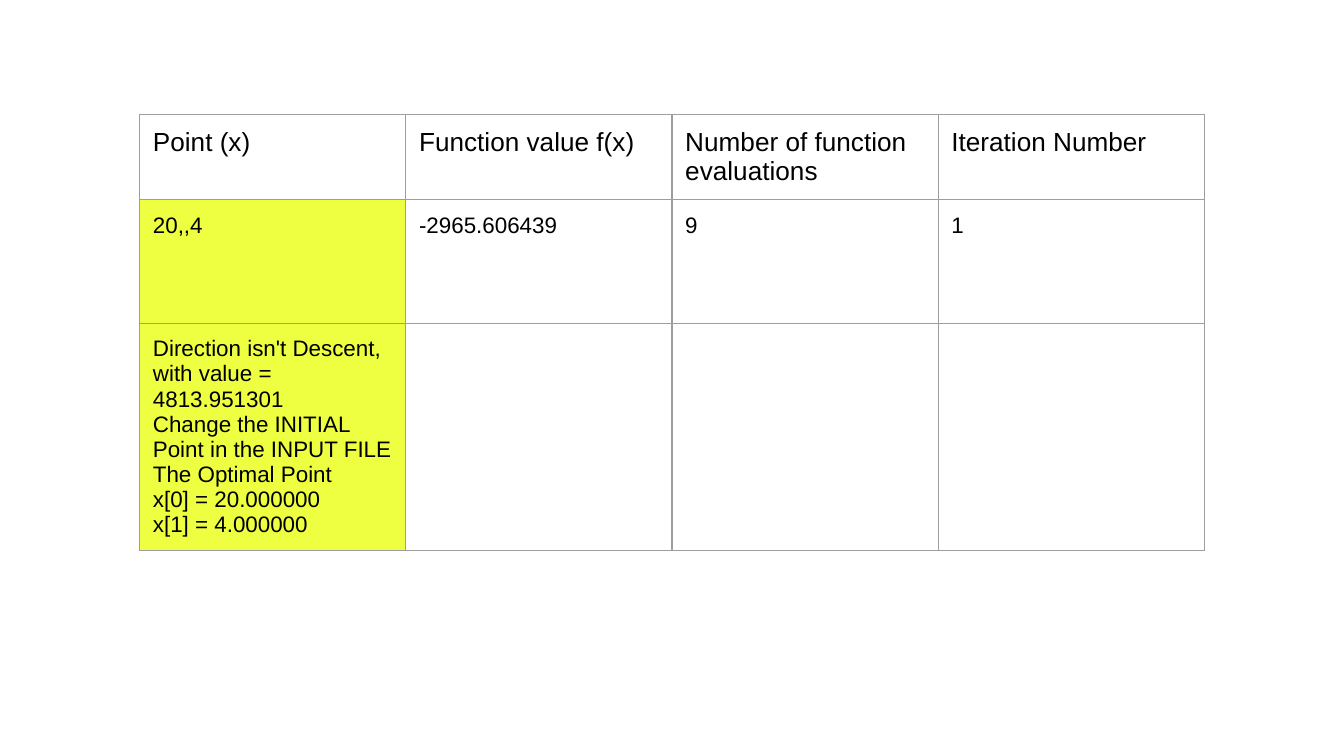
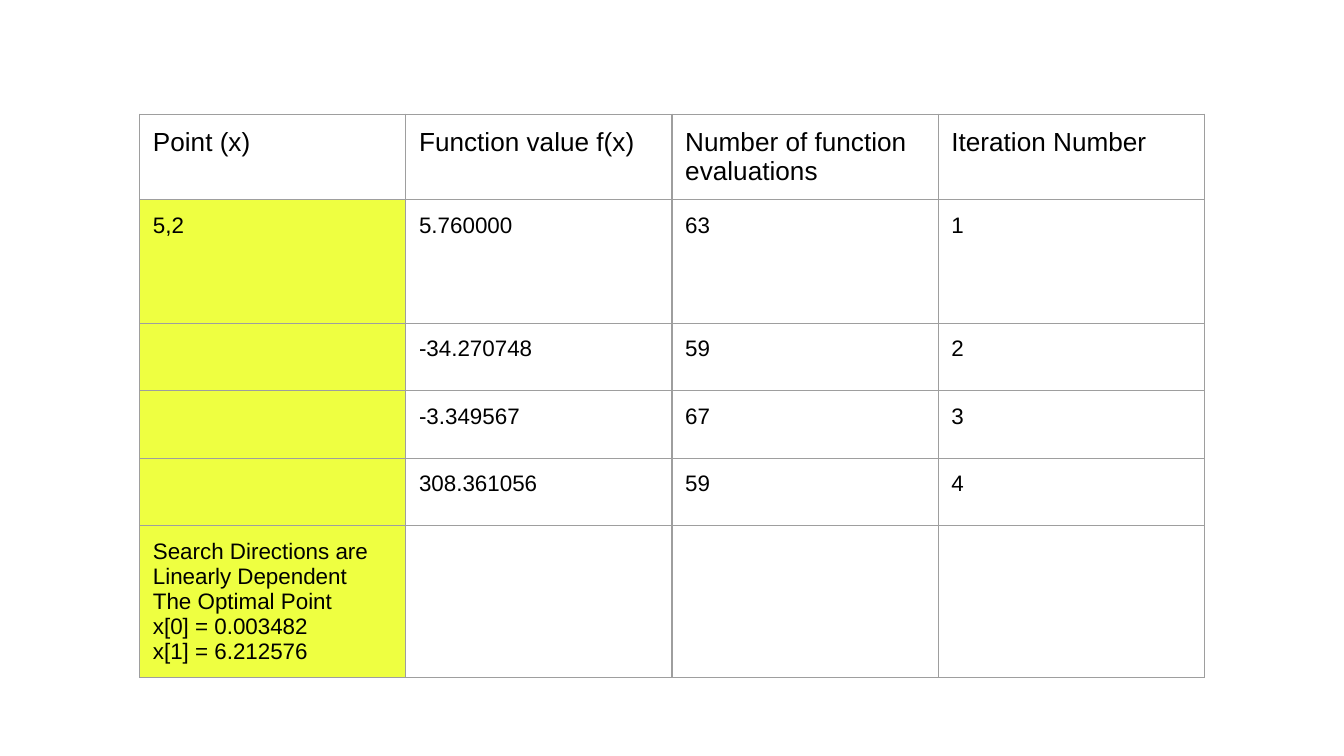
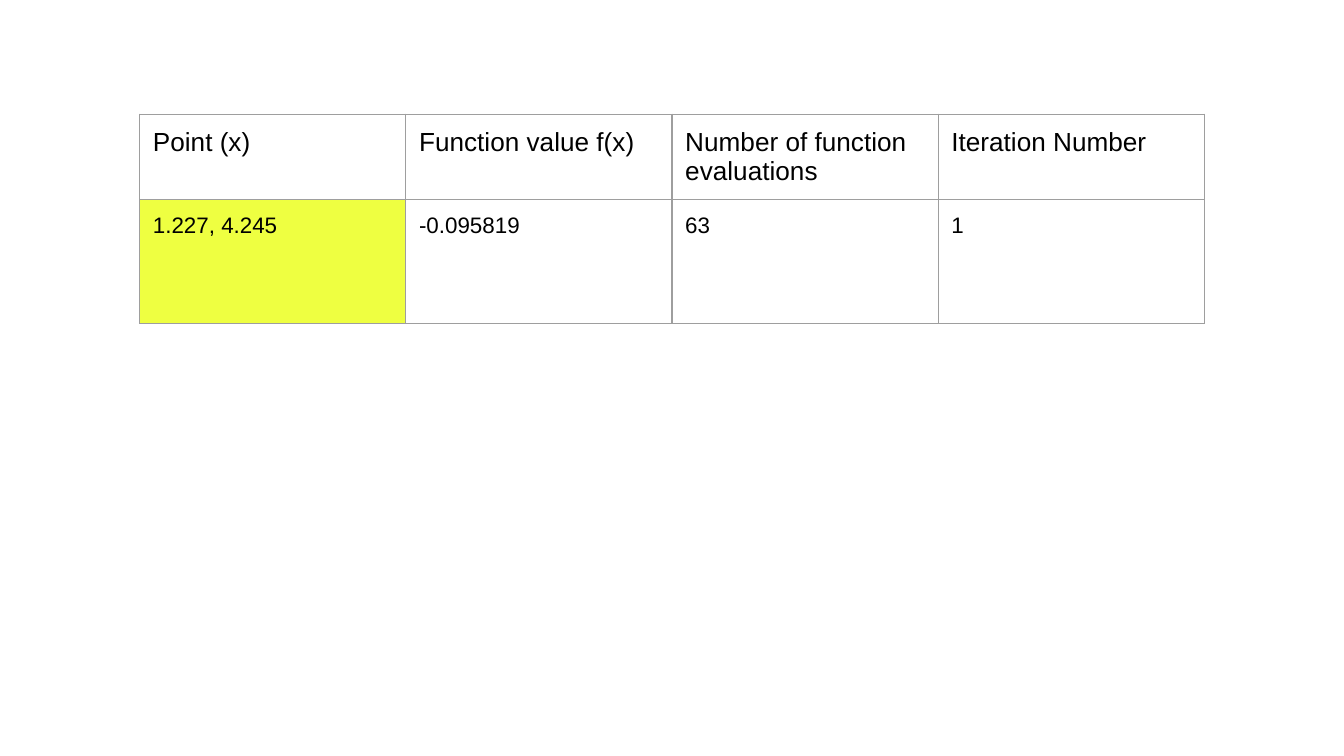
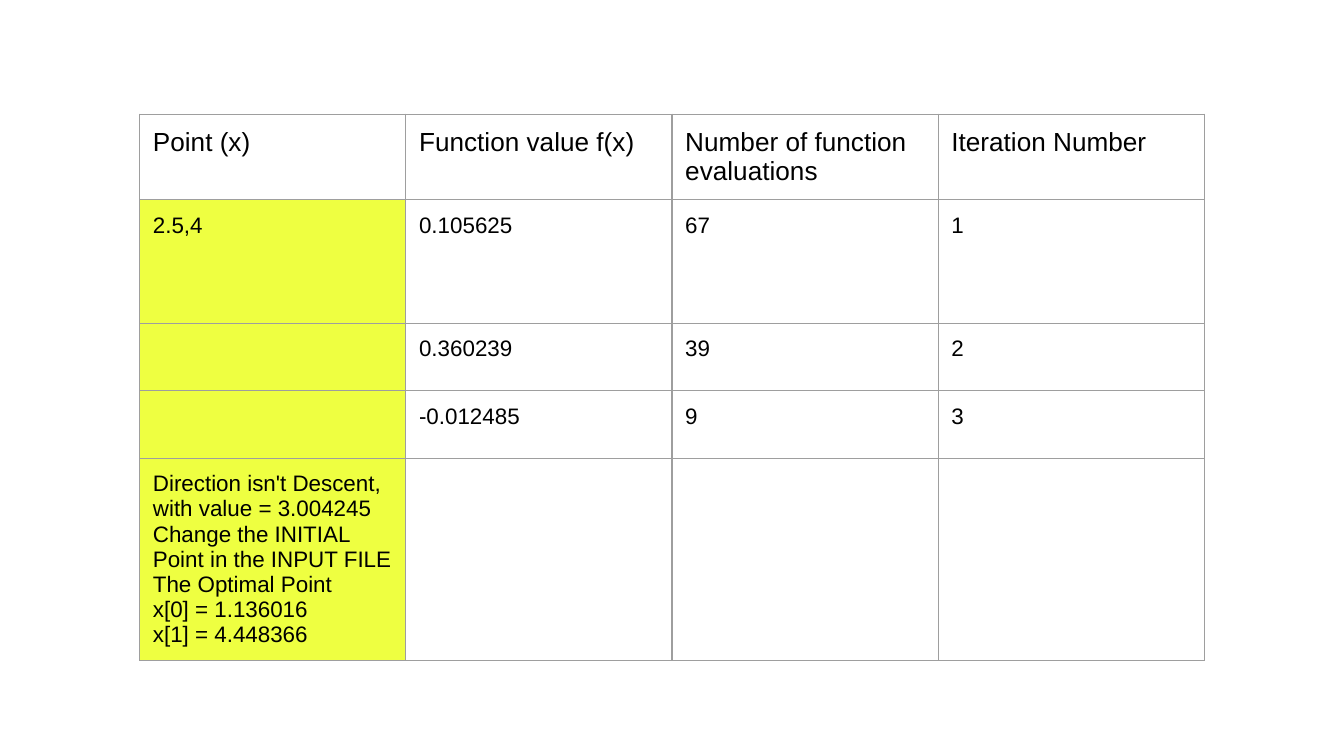
from pptx import Presentation
from pptx.dml.color import RGBColor
from pptx.oxml.ns import qn
from pptx.util import Cm, Pt
from lxml import etree

GREY = "9E9E9E"
LIME = "EEFF41"
INK = "000000"
FONT = "Arial"
HEADS = ["Point (x)", "Function value f(x)",
         "Number of function evaluations", "Iteration Number"]
COL = 5.03
ROW = 1.07
TALL = 2.34
PAD = Cm(0.25)

RUNS = [
    [
        ["20,,4", "-2965.606439", "9", "1"],
        ["Direction isn't Descent, with value = 4813.951301\n"
         "Change the INITIAL Point in the INPUT FILE\n"
         "The Optimal Point\nx[0] = 20.000000\nx[1] = 4.000000", "", "", ""],
    ],
    [
        ["5,2", "5.760000", "63", "1"],
        ["", "-34.270748", "59", "2"],
        ["", "-3.349567", "67", "3"],
        ["", "308.361056", "59", "4"],
        ["Search Directions are Linearly Dependent\n"
         "The Optimal Point\nx[0] = 0.003482\nx[1] = 6.212576", "", "", ""],
    ],
    [
        ["1.227, 4.245", "-0.095819", "63", "1"],
    ],
    [
        ["2.5,4", "0.105625", "67", "1"],
        ["", "0.360239", "39", "2"],
        ["", "-0.012485", "9", "3"],
        ["Direction isn't Descent, with value = 3.004245\n"
         "Change the INITIAL Point in the INPUT FILE\n"
         "The Optimal Point\nx[0] = 1.136016\nx[1] = 4.448366", "", "", ""],
    ],
]


def paint(color, code):
    color.rgb = RGBColor.from_string(code)


def frame(cell):
    props = cell._tc.get_or_add_tcPr()
    for side in ("a:lnL", "a:lnR", "a:lnT", "a:lnB"):
        line = etree.SubElement(props, qn(side), w=str(Pt(0.75)))
        fill = etree.SubElement(line, qn("a:solidFill"))
        etree.SubElement(fill, qn("a:srgbClr"), val=GREY)


prs = Presentation()
prs.slide_width = Cm(25.4)
prs.slide_height = Cm(14.29)
blank = prs.slide_layouts[6]

for run_rows in RUNS:
    slide = prs.slides.add_slide(blank)
    rows = [HEADS] + run_rows
    high = ROW * (len(rows) - 1) + TALL
    table = slide.shapes.add_table(
        len(rows), len(HEADS), Cm(2.64), Cm(2.16),
        Cm(COL * len(HEADS)), Cm(high)).table
    table.first_row = False
    table.horz_banding = False
    for r, row in enumerate(rows):
        table.rows[r].height = Cm(TALL if r == 1 else ROW)
        for c, text in enumerate(row):
            cell = table.cell(r, c)
            cell.margin_left = cell.margin_right = PAD
            cell.margin_top = cell.margin_bottom = PAD
            frame(cell)
            if r and c == 0:
                cell.fill.solid()
                paint(cell.fill.fore_color, LIME)
            else:
                cell.fill.background()
            if not text:
                continue
            cell.text_frame.text = text
            for para in cell.text_frame.paragraphs:
                for part in para.runs:
                    part.font.name = FONT
                    part.font.size = Pt(12 if r else 14)
                    paint(part.font.color, INK)

prs.save("out.pptx")
